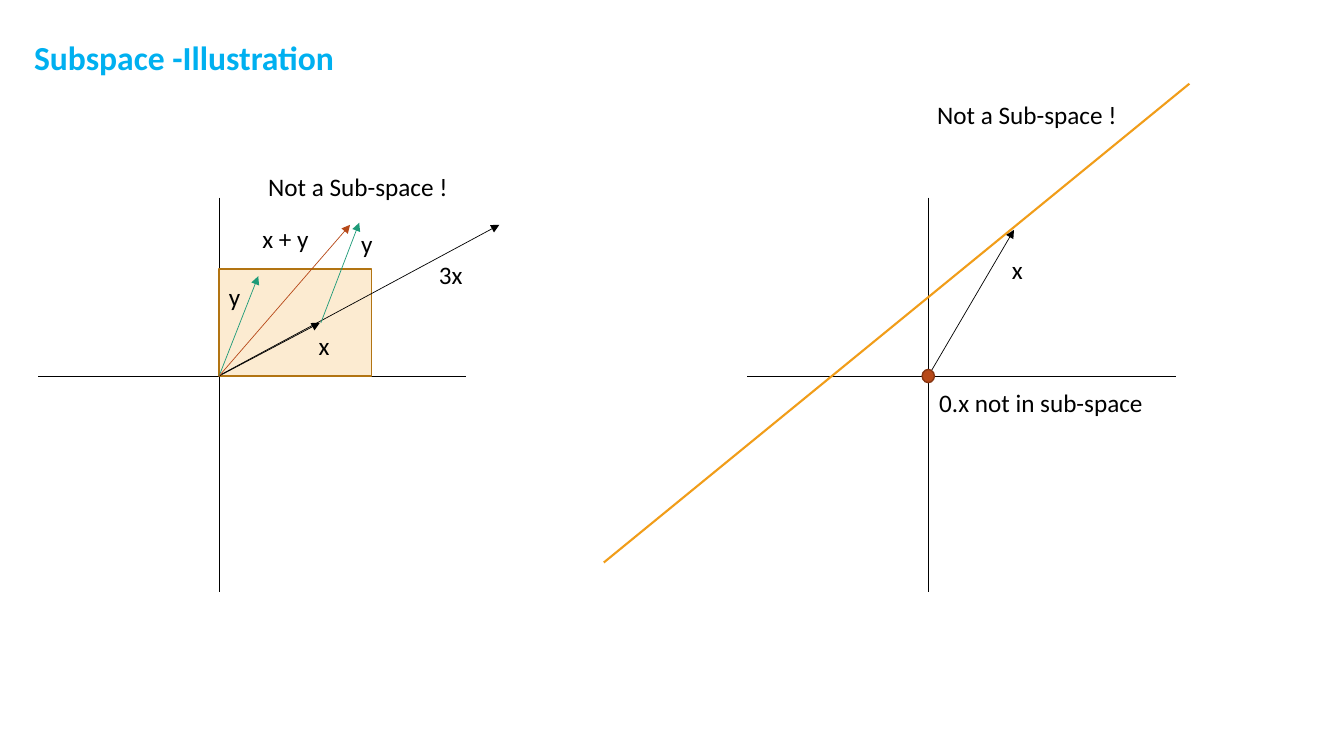
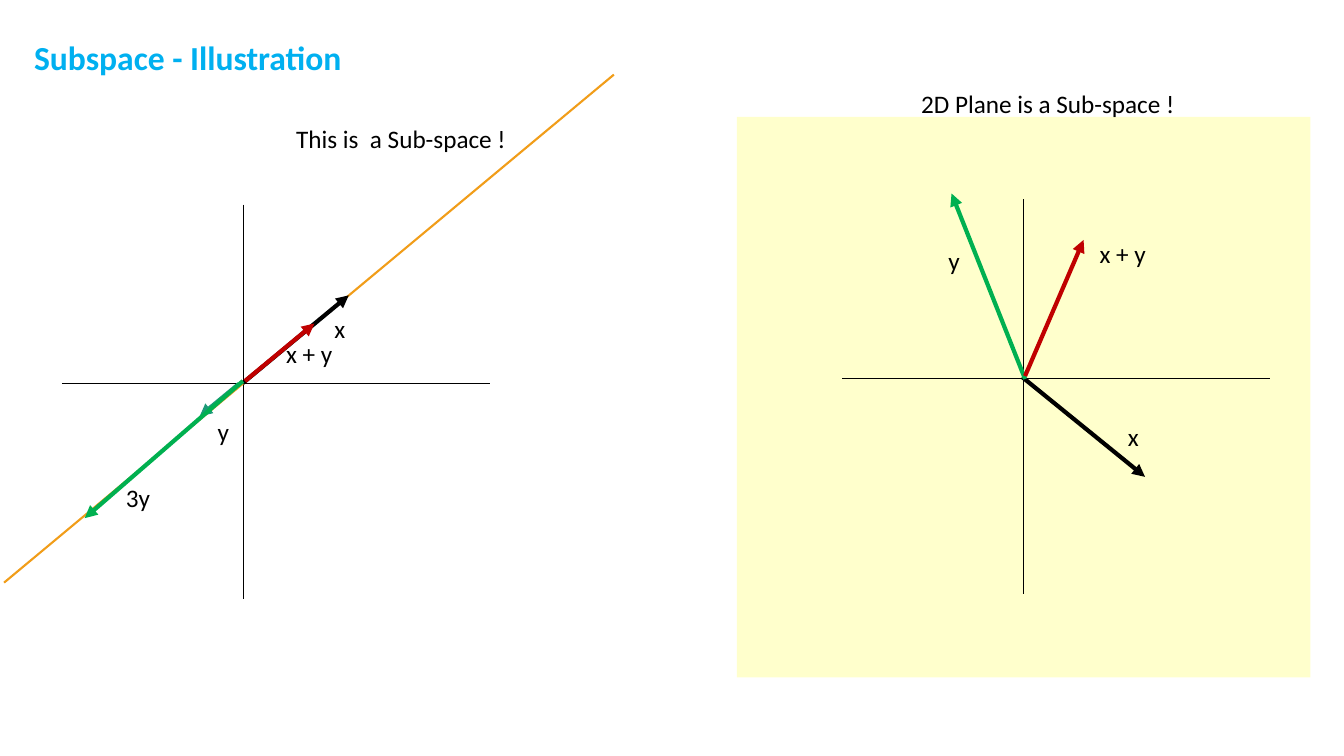
from dataclasses import dataclass

from lxml.etree import SubElement
from pptx import Presentation
from pptx.dml.color import RGBColor
from pptx.enum.shapes import MSO_CONNECTOR, MSO_SHAPE
from pptx.oxml.ns import qn
from pptx.util import Pt


@dataclass(frozen=True)
class Theme:
    font: str = "Calibri"
    title_size: int = 24
    body_size: int = 18
    thin: float = 0.5
    medium: float = 1.5
    thick: float = 3
    outline: float = 1
    title: str = "00B0F0"
    ink: str = "000000"
    teal: str = "1D9A78"
    green: str = "00B050"
    rust: str = "B74919"
    rust_edge: str = "873612"
    red: str = "C00000"
    orange: str = "F19D19"
    quadrant: str = "FCEBD1"
    quadrant_edge: str = "B27412"
    plane: str = "FFFFCC"


THEME = Theme()
AXES_WIDTH, AXES_HEIGHT = 306, 282
ORIGIN_LEFT, ORIGIN_TOP = 129.3, 127.5
LABEL_HEIGHT = 29


def add_text(slide, text, left, top, width, height=LABEL_HEIGHT, *,
             size=THEME.body_size, color=THEME.ink, bold=False):
    shape = slide.shapes.add_textbox(Pt(left), Pt(top), Pt(width), Pt(height))
    shape.text_frame.word_wrap = True
    run = shape.text_frame.paragraphs[0].add_run()
    run.text = text
    run.font.name = THEME.font
    run.font.size = Pt(size)
    run.font.bold = bold
    run.font.color.rgb = RGBColor.from_string(color)


def add_line(slide, start, end, *, color=THEME.ink, width=THEME.thin, arrow=False):
    connector = slide.shapes.add_connector(
        MSO_CONNECTOR.STRAIGHT, *(Pt(value) for value in (*start, *end)))
    connector.line.color.rgb = RGBColor.from_string(color)
    connector.line.width = Pt(width)
    properties = connector.element.spPr
    if arrow:
        SubElement(properties.find(qn("a:ln")), qn("a:tailEnd"), type="triangle")
    SubElement(properties, qn("a:effectLst"))


def add_filled_shape(slide, kind, left, top, width, height, *, fill, edge=None):
    shape = slide.shapes.add_shape(kind, Pt(left), Pt(top), Pt(width), Pt(height))
    shape.shadow.inherit = False
    shape.fill.solid()
    shape.fill.fore_color.rgb = RGBColor.from_string(fill)
    if edge:
        shape.line.color.rgb = RGBColor.from_string(edge)
        shape.line.width = Pt(THEME.outline)
    else:
        shape.line.fill.background()


class Diagram:
    """Axes in a box; every other part is placed from their origin."""

    def __init__(self, slide, left, top):
        self.slide = slide
        self.left, self.top = left, top

    def point(self, across, down):
        return self.left + ORIGIN_LEFT + across, self.top + ORIGIN_TOP + down

    def axes(self):
        right, bottom = AXES_WIDTH - ORIGIN_LEFT, AXES_HEIGHT - ORIGIN_TOP
        self.line((0, -ORIGIN_TOP), (0, bottom))
        self.line((-ORIGIN_LEFT, 0), (right, 0))

    def line(self, start, end, **style):
        add_line(self.slide, self.point(*start), self.point(*end), **style)

    def label(self, text, place, width):
        add_text(self.slide, text, *self.point(*place), width)

    def area(self, kind, place, width, height, **style):
        add_filled_shape(self.slide, kind, *self.point(*place), width, height, **style)

    def vectors(self, vectors, width):
        for text, start, end, color, place, label_width in vectors:
            self.line(start, end, color=color, width=width, arrow=True)
            self.label(text, place, label_width)


def draw_quadrant(slide, left, top):
    diagram = Diagram(slide, left, top)
    diagram.axes()
    diagram.area(MSO_SHAPE.RECTANGLE, (0, -76.3), 108.7, 76.3,
                 fill=THEME.quadrant, edge=THEME.quadrant_edge)
    diagram.label("Not a Sub-space !", (28, -149.8), 149)
    diagram.vectors([
        ("x", (0, 0), (72, -38), THEME.ink, (64, -36), 17),
        ("y", (0, 0), (28, -71.3), THEME.teal, (0, -71.3), 17),
        ("x + y", (0, 0), (93.6, -108), THEME.rust, (23.8, -112.4), 69),
        ("3x", (2, -1.4), (200.2, -108), THEME.ink, (149.8, -87.2), 54),
        ("y", (72.7, -38), (100.1, -109.5), THEME.teal, (94.4, -108.8), 17),
    ], THEME.thin)


def draw_offset_line(slide, left, top):
    diagram = Diagram(slide, left, top)
    diagram.axes()
    diagram.line((-231.8, 133.2), (186.5, -208.8),
                 color=THEME.orange, width=THEME.medium)
    diagram.vectors([
        ("x", (0, 0), (61.2, -104.4), THEME.ink, (52.6, -90.8), 17),
    ], THEME.thin)
    diagram.area(MSO_SHAPE.OVAL, (-4.4, -4.7), 8.8, 9.4,
                 fill=THEME.rust, edge=THEME.rust_edge)
    diagram.label("0.x not in sub-space", (0.7, 4.3), 194)
    diagram.label("Not a Sub-space !", (-0.7, -200.9), 149)


def draw_line_through_origin(slide, left, top):
    diagram = Diagram(slide, left, top)
    diagram.axes()
    diagram.line((-170.6, 142.6), (265, -220.3),
                 color=THEME.orange, width=THEME.medium)
    diagram.vectors([
        ("x", (0, 0), (75.6, -62.6), THEME.ink, (58.3, -53.3), 17),
        ("y", (-2.9, 0.7), (-30.9, 23.8), THEME.teal, (-25.2, 20.2), 17),
        ("x + y", (1.5, -1.4), (51.1, -42.5), THEME.red, (23.8, -35.3), 68),
        ("3y", (0, -1.4), (-113, 96.5), THEME.green, (-90.7, 67), 44),
    ], THEME.thick)
    diagram.label("This is  a Sub-space !", (31, -189.4), 217)


def draw_plane(slide, left, top):
    diagram = Diagram(slide, left, top)
    diagram.area(MSO_SHAPE.RECTANGLE, (-204.5, -186.5), 409.7, 400.3,
                 fill=THEME.plane)
    diagram.axes()
    diagram.label("2D Plane is a Sub-space !", (-79.9, -210.2), 217)
    diagram.vectors([
        ("x", (-0.7, -0.7), (87.1, 70.6), THEME.ink, (67.7, 27.4), 19),
        ("y", (1.4, 0.7), (-51.1, -131.8), THEME.green, (-60.5, -98.6), 17),
        ("x + y", (1.4, -1.4), (43.2, -98.6), THEME.red, (47.5, -103), 124),
    ], THEME.thick)


def add_titled_slide(presentation, title):
    slide = presentation.slides.add_slide(presentation.slide_layouts[6])
    add_text(slide, title, 17.3, 23, 540, 36,
             size=THEME.title_size, color=THEME.title, bold=True)
    return slide


def main():
    presentation = Presentation()
    presentation.slide_width, presentation.slide_height = Pt(960), Pt(540)

    slide = add_titled_slide(presentation, "Subspace -Illustration")
    draw_quadrant(slide, 27.2, 141.1)
    draw_offset_line(slide, 533.8, 141.1)

    slide = add_titled_slide(presentation, "Subspace - Illustration")
    draw_line_through_origin(slide, 44.2, 146.1)
    draw_plane(slide, 601.5, 142.5)

    presentation.save("out.pptx")


if __name__ == "__main__":
    main()
